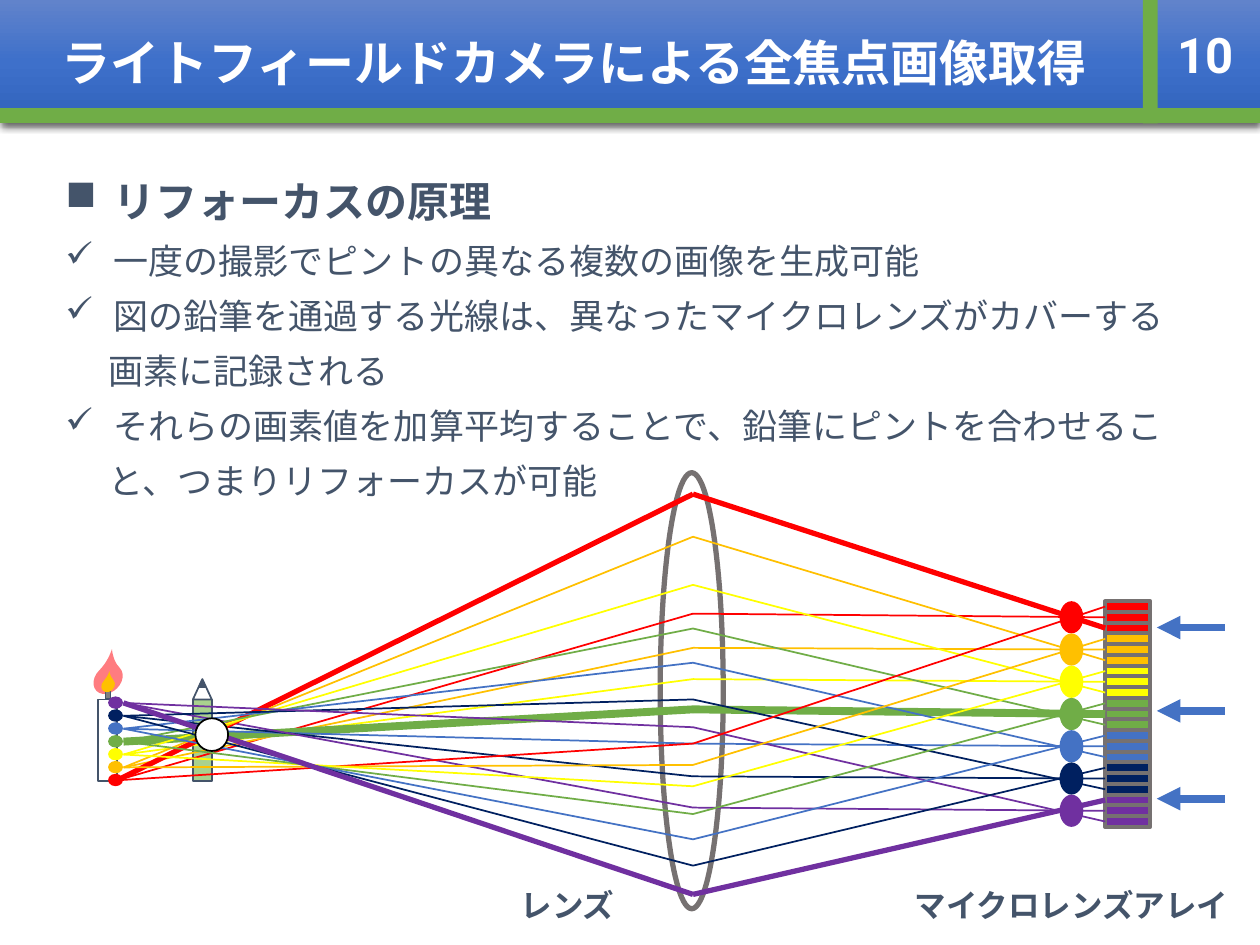
from lxml.etree import SubElement
from pptx import Presentation
from pptx.dml.color import RGBColor
from pptx.enum.lang import MSO_LANGUAGE_ID
from pptx.enum.shapes import MSO_CONNECTOR, MSO_SHAPE
from pptx.enum.text import MSO_ANCHOR, MSO_AUTO_SIZE, PP_ALIGN
from pptx.oxml import parse_xml
from pptx.oxml.ns import nsdecls, qn
from pptx.util import Cm, Pt

HUES = {
    "red": "FF0000", "orange": "FFC000", "yellow": "FFFF00",
    "green": "70AD47", "blue": "4472C4", "navy": "002060",
    "purple": "7030A0", "white": "FFFFFF", "black": "000000",
    "ink": "44546A", "gray": "767171", "wick": "808080",
    "wood": "A9D18E", "flame": "FF7C80",
    "top": "6183CB", "mid": "3E70CA", "low": "3062BB",
}
RAYS = {
    "red": (14.99, 12.37, 9.96),
    "orange": (15.42, 13.06, 10.82),
    "yellow": (15.85, 13.69, 11.79),
    "green": (16.41, 14.3, 12.67),
    "blue": (16.92, 14.99, 13.36),
    "navy": (17.45, 15.65, 14.1),
    "purple": (18.03, 16.28, 14.66),
}
BOLD = {("red", 2): 3, ("green", 1): 4.5, ("purple", 0): 3}
BODY = [
    ("✓", "一度の撮影でピントの異なる複数の画像を生成可能"),
    ("✓", "図の鉛筆を通過する光線は、異なったマイクロレンズがカバーする"),
    (None, "画素に記録される"),
    ("✓", "それらの画素値を加算平均することで、鉛筆にピントを合わせるこ"),
    (None, "と、つまりリフォーカスが可能"),
]
LENS_X = 13.97
CELL_X = 22.28
ARRAY_Y = 12.12
PITCH = 0.65
CELL_H = PITCH / 3


def paint(hue):
    return RGBColor.from_string(HUES[hue])


def apply(item, form):
    for key, value in form.items():
        setattr(item, key, value)


def add_form(slide, kind, box, fill=None, line=None, width=1, turn=0):
    shape = slide.shapes.add_shape(kind, *map(Cm, box))
    shape.shadow.inherit = False
    shape.rotation = turn
    if fill:
        shape.fill.solid()
        shape.fill.fore_color.rgb = paint(fill)
    else:
        shape.fill.background()
    if line:
        shape.line.color.rgb = paint(line)
        shape.line.width = Pt(width)
    else:
        shape.line.fill.background()
    return shape


def add_line(slide, start, end, hue, width=1, arrow=False):
    line = slide.shapes.add_connector(
        MSO_CONNECTOR.STRAIGHT, *map(Cm, (*start, *end)))
    line.line.color.rgb = paint(hue)
    line.line.width = Pt(width)
    if arrow:
        SubElement(line.line._get_or_add_ln(), qn("a:tailEnd"), type="triangle")
    SubElement(line._element.spPr, qn("a:effectLst"))


def write(para, text, size, hue, bold=True, **form):
    apply(para, form)
    run = para.add_run()
    run.text = text
    apply(run.font, {"name": "Roboto", "size": Pt(size), "bold": bold,
                     "language_id": MSO_LANGUAGE_ID.JAPANESE})
    run.font.color.rgb = paint(hue)
    SubElement(run._r.get_or_add_rPr(), qn("a:ea"), typeface="Roboto")


def add_text(slide, box, anchor=MSO_ANCHOR.TOP):
    frame = slide.shapes.add_textbox(*map(Cm, box)).text_frame
    apply(frame, {"word_wrap": True, "vertical_anchor": anchor})
    return frame


def indent(para, mark):
    props = para._p.get_or_add_pPr()
    left = Cm(0.97 if mark else 0.87)
    props.set("marL", str(left))
    props.set("indent", str(-left if mark else 0))
    if mark:
        SubElement(props, qn("a:buChar"), char=mark)


def add_head(slide):
    title = slide.shapes.title
    apply(title, {"left": 0, "top": 0, "width": Cm(25.4), "height": Cm(2.49)})
    stops = "".join(
        f'<a:gs pos="{place}"><a:srgbClr val="{HUES[hue]}"/></a:gs>'
        for place, hue in ((0, "top"), (50000, "mid"), (100000, "low")))
    props = title._element.spPr
    props.append(parse_xml(
        f'<a:gradFill {nsdecls("a")}><a:gsLst>{stops}</a:gsLst>'
        '<a:lin ang="5400000" scaled="0"/></a:gradFill>'))
    props.append(parse_xml(
        f'<a:effectLst {nsdecls("a")}><a:outerShdw blurRad="{Pt(4.5)}" '
        f'dist="{Pt(1.5)}" dir="5400000"><a:srgbClr val="{HUES["black"]}">'
        '<a:alpha val="63000"/></a:srgbClr></a:outerShdw></a:effectLst>'))
    frame = title.text_frame
    apply(frame, {"auto_size": MSO_AUTO_SIZE.NONE, "margin_left": Cm(1.24),
                  "vertical_anchor": MSO_ANCHOR.MIDDLE, "word_wrap": True})
    write(frame.paragraphs[0], "ライトフィールドカメラによる全焦点画像取得",
          28, "white", alignment=PP_ALIGN.LEFT)
    add_form(slide, MSO_SHAPE.RECTANGLE, (0, 2.18, 25.4, 0.3), "green")
    page = add_text(slide, (23.19, 0, 2.21, 2.18), MSO_ANCHOR.MIDDLE)
    write(page.paragraphs[0], "10", 28, "white", alignment=PP_ALIGN.CENTER)
    add_form(slide, MSO_SHAPE.RECTANGLE, (23.04, 0, 0.3, 2.49), "green")


def add_body(slide):
    frame = add_text(slide, (1.07, 3.48, 23.24, 9.8))
    head = frame.paragraphs[0]
    indent(head, "■")
    write(head, "リフォーカスの原理", 24, "ink", line_spacing=Pt(27))
    for mark, text in BODY:
        para = frame.add_paragraph()
        indent(para, mark)
        write(para, text, 20, "ink", False,
              line_spacing=Pt(24), space_before=Pt(7.5))


def add_props(slide):
    rect, peak = MSO_SHAPE.RECTANGLE, MSO_SHAPE.ISOSCELES_TRIANGLE
    add_form(slide, rect, (3.89, 14.1, 0.38, 1.65), "wood", "ink")
    add_form(slide, peak, (3.89, 13.69, 0.38, 0.41), "white", "ink")
    add_form(slide, peak, (4.01, 13.72, 0.13, 0.13), "ink", "ink")
    add_form(slide, rect, (1.98, 14.1, 0.38, 1.65), "white", "ink")
    flame = add_form(slide, MSO_SHAPE.TEAR, (1.85, 13.44, 0.66, 0.51),
                     "flame", turn=315)
    add_form(slide, rect, (2.13, 13.94, 0.1, 0.15), "wick", "ink")
    core = add_form(slide, MSO_SHAPE.TEAR, (2.03, 13.69, 0.3, 0.25),
                    "orange", turn=315)
    for drop in (flame, core):
        drop.adjustments[0] = 1.476


def add_rays(slide):
    for row, hue in enumerate(RAYS):
        for part in range(3):
            y = ARRAY_Y + (row * 3 + part) * CELL_H
            add_form(slide, MSO_SHAPE.RECTANGLE, (CELL_X, y, 0.91, CELL_H),
                     hue, "gray", 2.25)
    for row, hue in enumerate(RAYS):
        add_form(slide, MSO_SHAPE.OVAL,
                 (21.36, ARRAY_Y + row * PITCH, 0.48, PITCH), hue)
        add_form(slide, MSO_SHAPE.OVAL,
                 (2.18, 15.6 - row * 0.26, 0.3, 0.25), hue)
    add_form(slide, MSO_SHAPE.OVAL, (13.31, 9.53, 1.27, 8.79), line="gray", width=3)
    for part in (1, 2, 0):
        for row, (hue, bends) in enumerate(RAYS.items()):
            bend = (LENS_X, bends[part])
            start = (2.36 if hue == "red" else 2.49, 15.73 - row * 0.26)
            end = (CELL_X, ARRAY_Y + (row * 3 + part + 0.5) * CELL_H)
            width = BOLD.get((hue, part), 1)
            add_line(slide, start, bend, hue, width)
            add_line(slide, bend, end, hue, width)


def main():
    deck = Presentation()
    apply(deck, {"slide_width": Cm(25.4), "slide_height": Cm(19.05)})
    slide = deck.slides.add_slide(deck.slide_layouts[5])
    add_head(slide)
    add_body(slide)
    add_props(slide)
    add_rays(slide)
    for left, text in ((7.39, "レンズ"), (17.55, "マイクロレンズアレイ")):
        frame = add_text(slide, (left, 17.82, 8.1, 1.24))
        write(frame.paragraphs[0], text, 18, "ink",
              alignment=PP_ALIGN.CENTER, line_spacing=0.9)
    add_form(slide, MSO_SHAPE.OVAL, (3.94, 14.48, 0.66, 0.66), "white", "black")
    for y in (12.65, 14.33, 16.1):
        add_line(slide, (24.69, y), (23.32, y), "blue", 4.5, True)
    deck.save("out.pptx")


if __name__ == "__main__":
    main()
